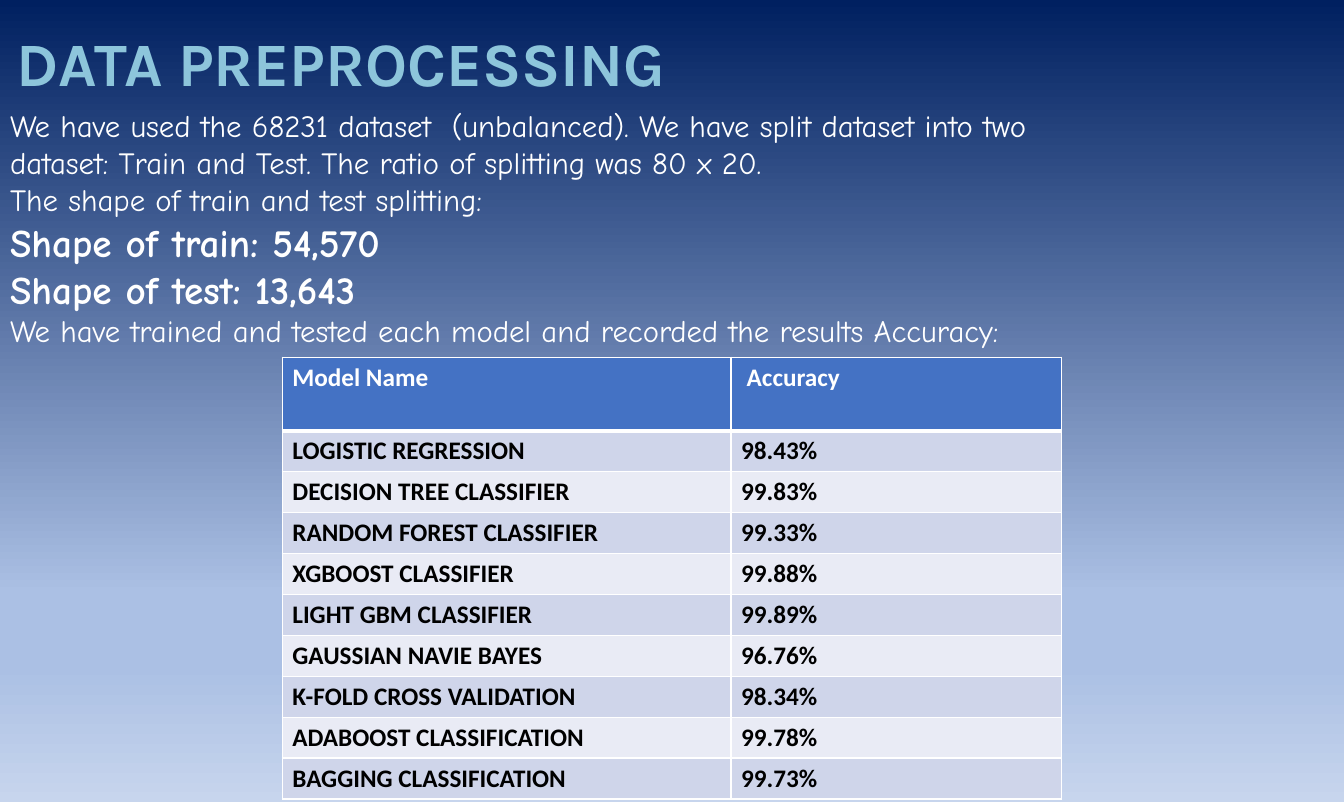
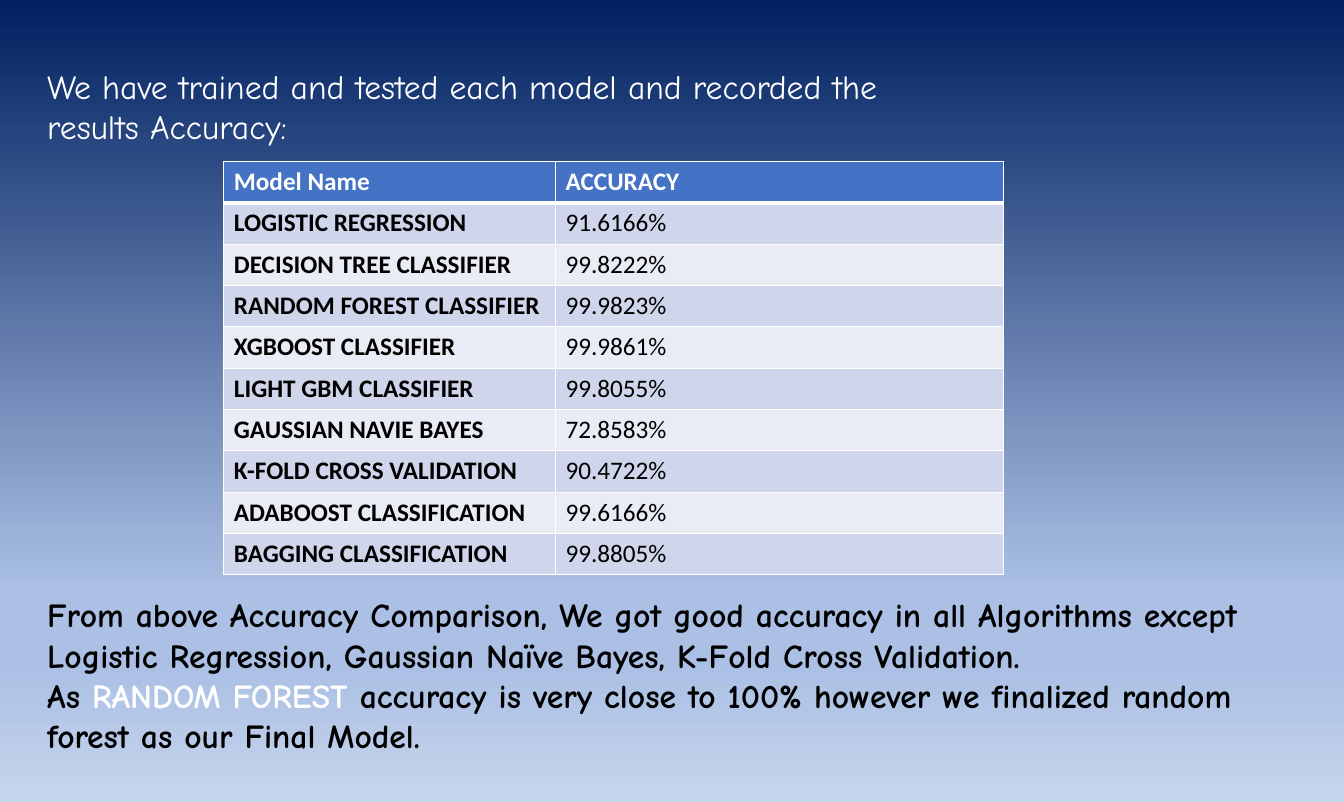
import copy
import pptx
import pptx.util
import pptx.dml.color
import pptx.enum.text
import pptx.oxml.ns
import lxml.etree

Inches = pptx.util.Inches
Pt = pptx.util.Pt
qn = pptx.oxml.ns.qn

COLORS = {
    "navy": "002060", "sky": "ABC0E4", "pale": "C7D5ED",
    "title": "8DC5DB", "white": "FFFFFF", "black": "000000",
    "head": "4472C4", "odd": "CFD5EA", "even": "E9EBF5",
}
STOPS = [(0, "navy"), (0.74, "sky"), (0.83, "sky"), (1, "pale")]
HAND = "Comic Neue"
MODELS = [
    "LOGISTIC REGRESSION", "DECISION TREE CLASSIFIER",
    "RANDOM FOREST CLASSIFIER", "XGBOOST CLASSIFIER",
    "LIGHT GBM CLASSIFIER", "GAUSSIAN NAVIE BAYES",
    "K-FOLD CROSS VALIDATION", "ADABOOST CLASSIFICATION",
    "BAGGING CLASSIFICATION",
]
SPLIT = [98.43, 99.83, 99.33, 99.88, 99.89, 96.76, 98.34, 99.78, 99.73]
FINAL = [91.6166, 99.8222, 99.9823, 99.9861, 99.8055, 72.8583, 90.4722,
         99.6166, 99.8805]
RESULT = ("We have trained and tested each model and recorded "
          "the results Accuracy:")


def color(name):
    return pptx.dml.color.RGBColor.from_string(COLORS[name])


def paint(master):
    fill = master.background.fill
    fill.gradient()
    fill.gradient_angle = 270
    stops = next(master.element.iter(qn("a:gsLst")))
    while len(stops) < len(STOPS):
        stops.append(copy.deepcopy(stops[0]))
    for stop, (place, name) in zip(fill.gradient_stops, STOPS):
        stop.position = place
        stop.color.rgb = color(name)


def style(run, size, font, tint, bold=False):
    run.font.size = Pt(size)
    run.font.name = font
    run.font.bold = bold
    run.font.color.rgb = color(tint)


def move(shape, left, top, width, height):
    shape.left, shape.top = Inches(left), Inches(top)
    shape.width, shape.height = Inches(width), Inches(height)


def write(shape, paras):
    frame = shape.text_frame
    frame.word_wrap = True
    frame.auto_size = pptx.enum.text.MSO_AUTO_SIZE.NONE
    frame.text = "\n".join("".join(part[0] for part in para) for para in paras)
    for line, para in zip(frame.paragraphs, paras):
        line.text = ""
        line.alignment = pptx.enum.text.PP_ALIGN.LEFT
        line.space_before = Pt(0)
        props = line._p.get_or_add_pPr()
        props.set("marL", "0")
        props.set("indent", "0")
        lxml.etree.SubElement(props, qn("a:buNone"))
        for text, *look in para:
            run = line.add_run()
            run.text = text
            style(run, *look)


def note(slide, box, paras):
    shape = slide.shapes.add_textbox(*[Inches(n) for n in box])
    write(shape, paras)


def edge(cell, side, width):
    line = lxml.etree.SubElement(cell._tc.get_or_add_tcPr(), qn("a:" + side))
    line.set("w", str(Pt(width)))
    fill = lxml.etree.SubElement(line, qn("a:solidFill"))
    lxml.etree.SubElement(fill, qn("a:srgbClr")).set("val", COLORS["white"])


def grid(slide, place, cols, rows, cells, bold):
    size = Inches(sum(cols)), Inches(sum(rows))
    left, top = [Inches(n) for n in place]
    table = slide.shapes.add_table(
        len(rows), len(cols), left, top, *size).table
    for col, width in zip(table.columns, cols):
        col.width = Inches(width)
    for i, (row, height) in enumerate(zip(table.rows, rows)):
        row.height = Inches(height)
        for j, cell in enumerate(row.cells):
            cell.text = cells[i][j]
            run = cell.text_frame.paragraphs[0].runs[0]
            style(run, 18, "Calibri", "black" if i else "white",
                  bold or i == 0 or j == 0)
            for side in ("lnL", "lnR", "lnT", "lnB"):
                thick = (i, side) in ((0, "lnB"), (1, "lnT"))
                edge(cell, side, 3 if thick else 1)
            cell.fill.solid()
            band = "odd" if i % 2 else "even"
            cell.fill.fore_color.rgb = color(band if i else "head")


def scores(head, values, digits):
    return [("Model Name", head)] + [
        (name, f"{value:.{digits}f}%") for name, value in zip(MODELS, values)]


def prep(deck):
    slide = deck.slides.add_slide(deck.slide_layouts[1])
    title, body = slide.placeholders
    move(title, 0.06, 0.18, 8.44, 0.87)
    write(title, [[("DATA PREPROCESSING", 44, "Karla", "title", True)]])
    move(body, 0, 1.01, 11.25, 2.52)
    plain = (22, HAND, "white")
    strong = (28, HAND, "white", True)
    write(body, [
        [("We have used the 68231 dataset  (unbalanced). We have split "
          "dataset into two dataset: Train and Test. The ratio of "
          "splitting was 80 x 20. ", *plain)],
        [("The shape of train and test splitting:", *plain)],
        [("Shape of train: 54,570", *strong)],
        [("Shape of test: 13,643", *strong)],
        [(RESULT, *plain)],
    ])
    grid(slide, (2.8, 3.54), [4.45, 3.28], [0.73] + [0.4] * len(MODELS),
         scores(" Accuracy", SPLIT, 2), True)


def compare(deck):
    slide = deck.slides.add_slide(deck.slide_layouts[6])
    note(slide, (0.37, 0.6, 8.75, 1.21), [[(RESULT, 24, HAND, "white")]])
    grid(slide, (2.22, 1.6), [3.29, 4.44], [0.41] * (len(MODELS) + 1),
         scores("ACCURACY", FINAL, 4), False)
    dark = (24, HAND, "black", True)
    note(slide, (0.37, 5.84, 12.43, 2.42), [
        [("From above Accuracy Comparison, We got good accuracy in all "
          "Algorithms except Logistic Regression, Gaussian Naïve Bayes, "
          "K-Fold Cross Validation.", *dark)],
        [("As ", *dark),
         ("RANDOM FOREST ", 24, HAND, "white", True),
         ("accuracy is very close to 100% however we finalized random "
          "forest as our Final Model.", *dark)],
    ])


def main():
    deck = pptx.Presentation()
    deck.slide_width, deck.slide_height = Inches(13.33), Inches(7.95)
    paint(deck.slide_master)
    prep(deck)
    compare(deck)
    deck.save("out.pptx")


main()
